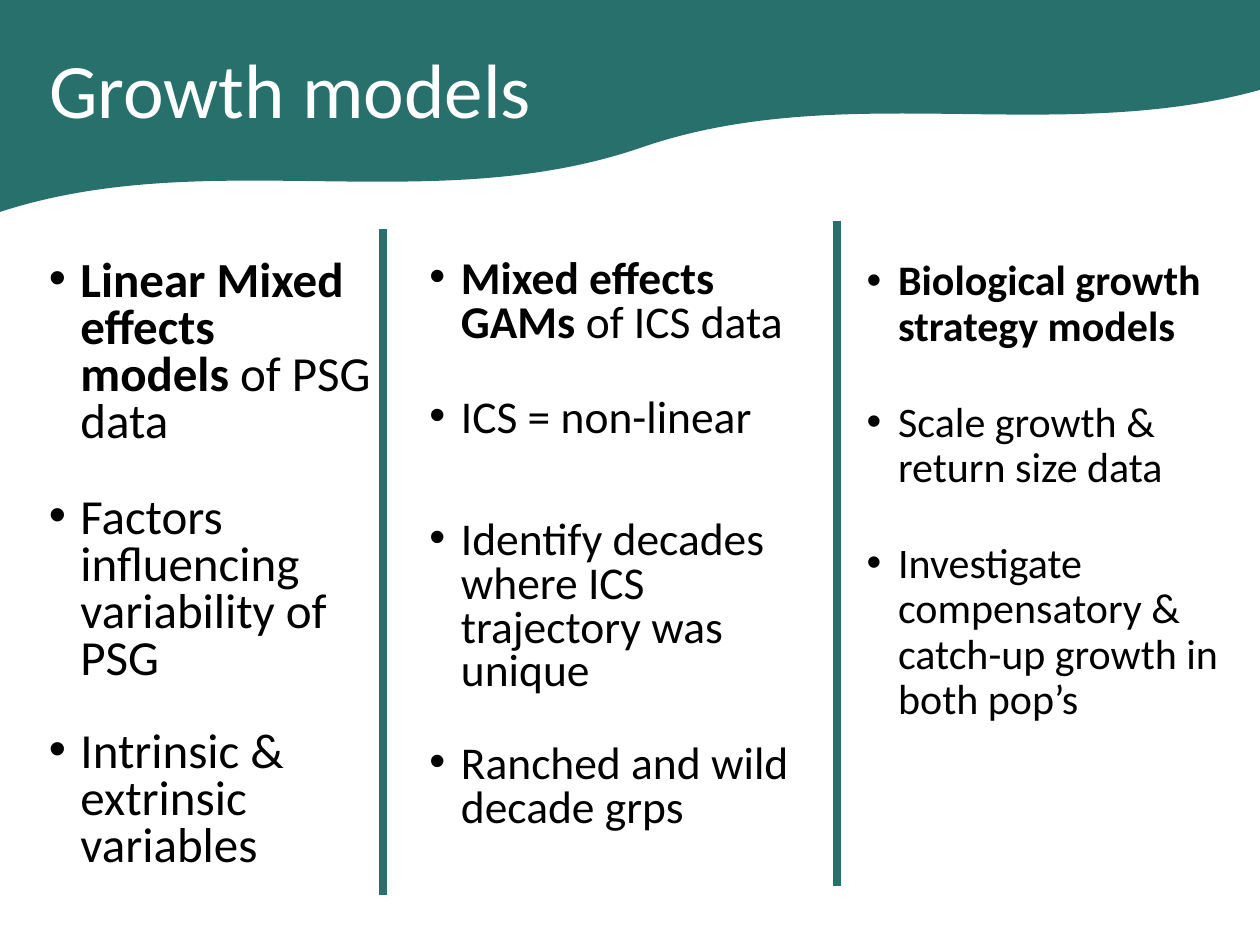
import pptx
import pptx.util
import pptx.dml.color
import pptx.enum.shapes
import pptx.enum.text
import pptx.oxml.ns
from lxml import etree

Inches, Pt = pptx.util.Inches, pptx.util.Pt
RGBColor = pptx.dml.color.RGBColor
qn = pptx.oxml.ns.qn

TEAL = RGBColor(0x28, 0x70, 0x6C)
WHITE = RGBColor(0xFF, 0xFF, 0xFF)
BLACK = RGBColor(0x00, 0x00, 0x00)
FONT = "Calibri"

# Content: each bullet is (space before in points, bold part, plain part)
TITLE = "Growth models"
COLUMNS = [
    {"left": 0.29, "width": 2.75, "size": 28, "spacing": 0.8, "bullets": [
        (0, "Linear Mixed effects models ", "of PSG data"),
        (28, "", "Factors influencing variability of PSG"),
        (26, "", "Intrinsic & extrinsic variables")]},
    {"left": 3.31, "width": 3.2, "size": 26, "spacing": 0.8, "bullets": [
        (0, "Mixed effects GAMs ", "of ICS data"),
        (29.5, "", "ICS = non-linear"),
        (45, "", "Identify decades where ICS trajectory was unique"),
        (28, "", "Ranched and wild decade grps")]},
    {"left": 6.78, "width": 3.16, "size": 24, "spacing": 0.9, "bullets": [
        (0, "Biological growth strategy models", ""),
        (29, "", "Scale growth & return size data"),
        (29, "", "Investigate compensatory & catch-up growth in both pop’s")]},
]
COLUMN_TOP, COLUMN_HEIGHT = 2.01, 5.02
DIVIDERS = [(3.04, 1.82), (6.64, 1.75)]  # x, top
DIVIDER_LENGTH = 5.28


def style(font, size, color, bold=False):
    font.name, font.size, font.bold = FONT, Pt(size), bold
    font.color.rgb = color


def add_bullet(p):
    pPr = p._p.get_or_add_pPr()
    pPr.set("marL", str(Inches(0.25)))
    pPr.set("indent", str(Inches(-0.25)))
    etree.SubElement(pPr, qn("a:buFont")).set("typeface", "Arial")
    etree.SubElement(pPr, qn("a:buChar")).set("char", "•")


def add_column(s, column):
    box = s.shapes.add_textbox(Inches(column["left"]), Inches(COLUMN_TOP),
                               Inches(column["width"]), Inches(COLUMN_HEIGHT))
    tf = box.text_frame
    tf.word_wrap = True
    for i, (gap, strong, plain) in enumerate(column["bullets"]):
        p = tf.paragraphs[0] if i == 0 else tf.add_paragraph()
        add_bullet(p)
        p.line_spacing = column["spacing"]
        p.space_before = Pt(gap)
        for text, bold in ((strong, True), (plain, False)):
            if text:
                r = p.add_run()
                r.text = text
                style(r.font, column["size"], BLACK, bold)


def add_divider(s, x, top):
    line = s.shapes.add_connector(
        pptx.enum.shapes.MSO_CONNECTOR.STRAIGHT,
        Inches(x), Inches(top), Inches(x), Inches(top + DIVIDER_LENGTH))
    line.line.color.rgb = TEAL
    line.line.width = Pt(4.5)
    etree.SubElement(line._element.spPr, qn("a:effectLst"))


def main():
    prs = pptx.Presentation()
    prs.slide_width, prs.slide_height = Inches(10), Inches(7.5)
    s = prs.slides.add_slide(prs.slide_layouts[5])

    # Title
    title = s.shapes.title
    title.left, title.top = Inches(0.29), Inches(0.02)
    title.width, title.height = Inches(8.62), Inches(1.45)
    tf = title.text_frame
    tf.text = TITLE
    tf.vertical_anchor = pptx.enum.text.MSO_ANCHOR.MIDDLE
    p = tf.paragraphs[0]
    p.alignment = pptx.enum.text.PP_ALIGN.LEFT
    p.line_spacing = 0.9
    style(p.runs[0].font, 44, WHITE)

    # Wave banner, behind the title
    wave = s.shapes.add_shape(pptx.enum.shapes.MSO_SHAPE.DOUBLE_WAVE,
                              Inches(-0.18), Inches(-0.64), Inches(10.36), Inches(1.93))
    wave.rotation = 354.1
    wave.shadow.inherit = False
    wave.fill.solid()
    wave.fill.fore_color.rgb = TEAL
    wave.line.color.rgb = TEAL
    wave.line.width = Pt(1)
    title.element.addprevious(wave.element)

    # Bullet columns and the lines between them
    for column in COLUMNS:
        add_column(s, column)
    for x, top in DIVIDERS:
        add_divider(s, x, top)

    prs.save("out.pptx")


if __name__ == "__main__":
    main()
